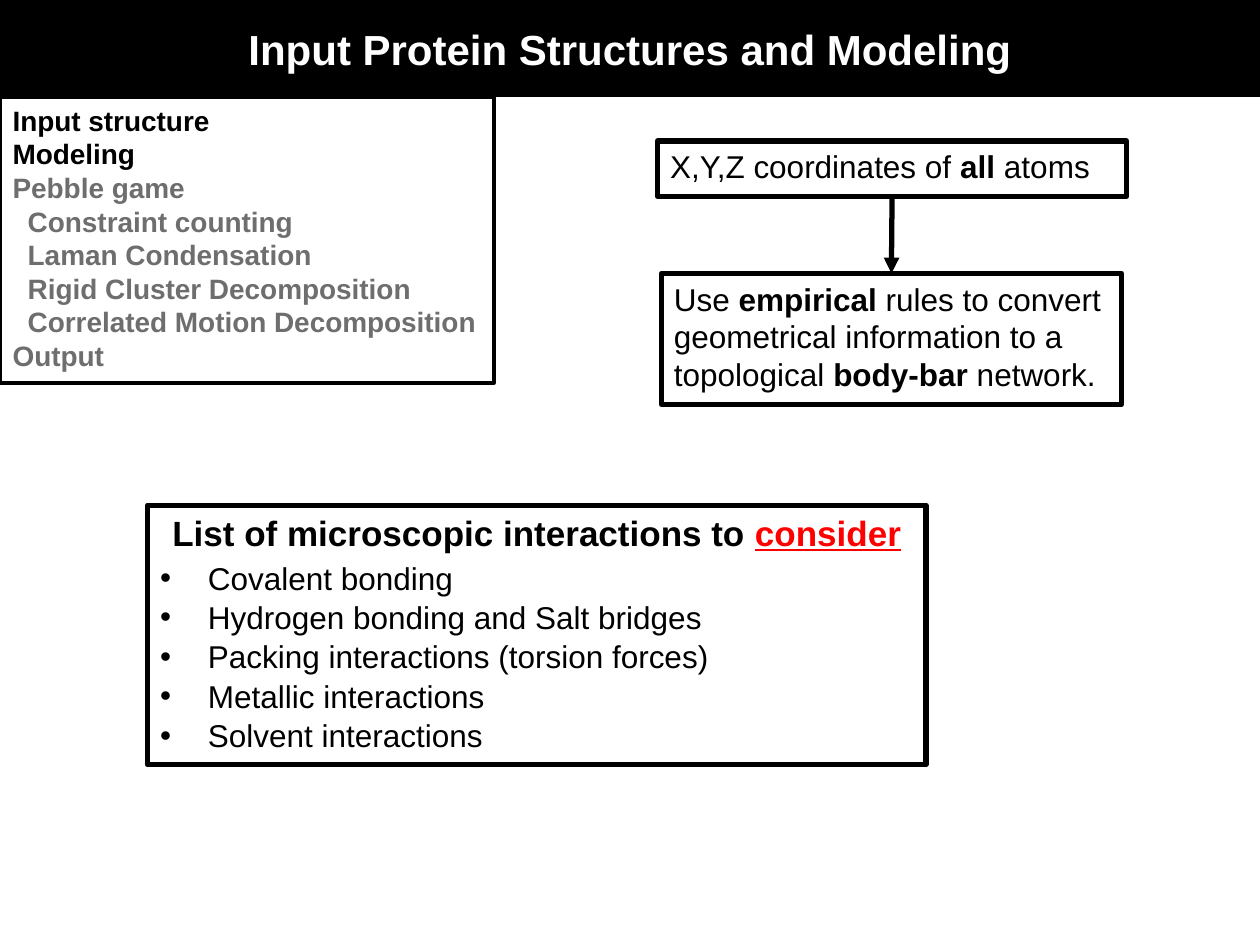
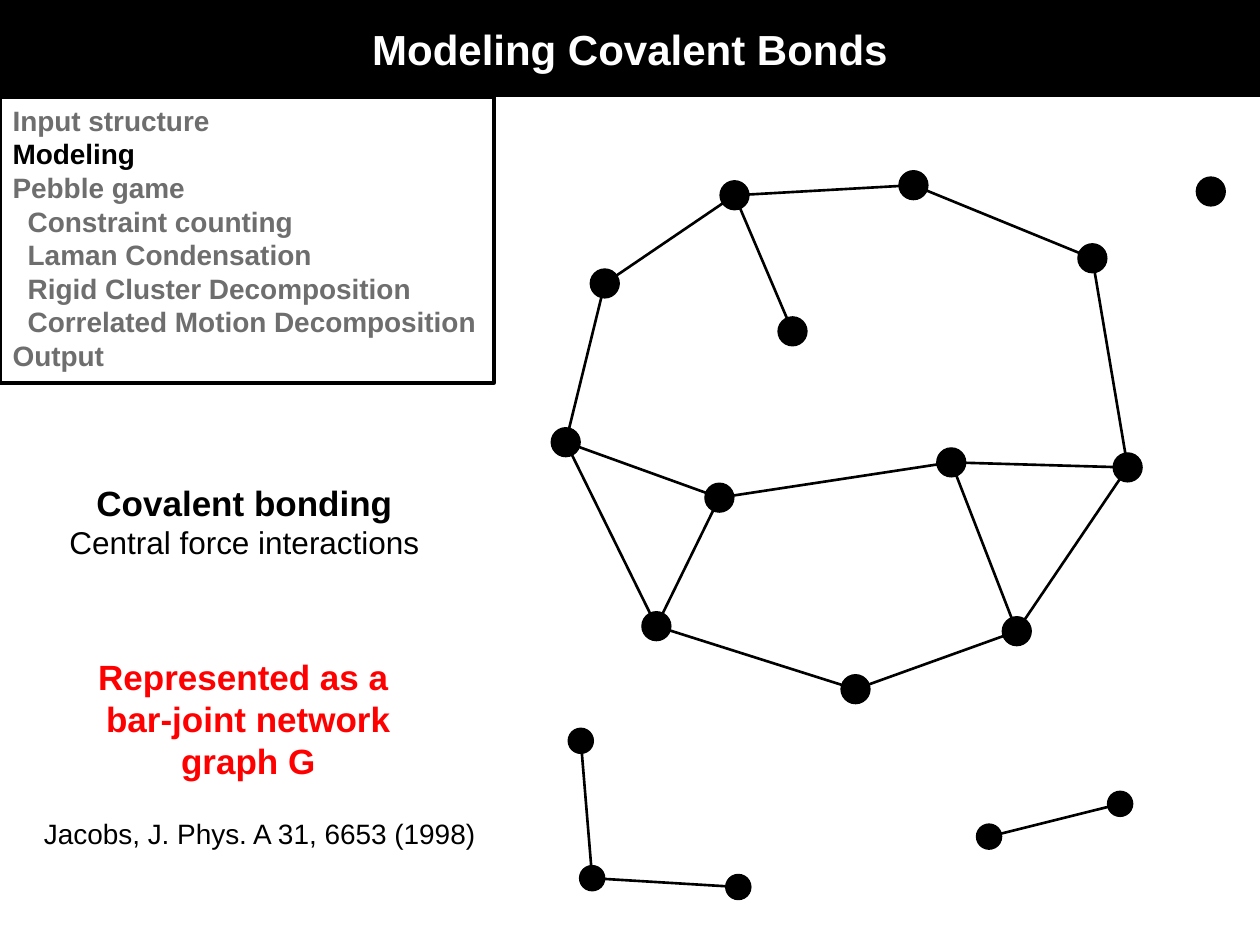
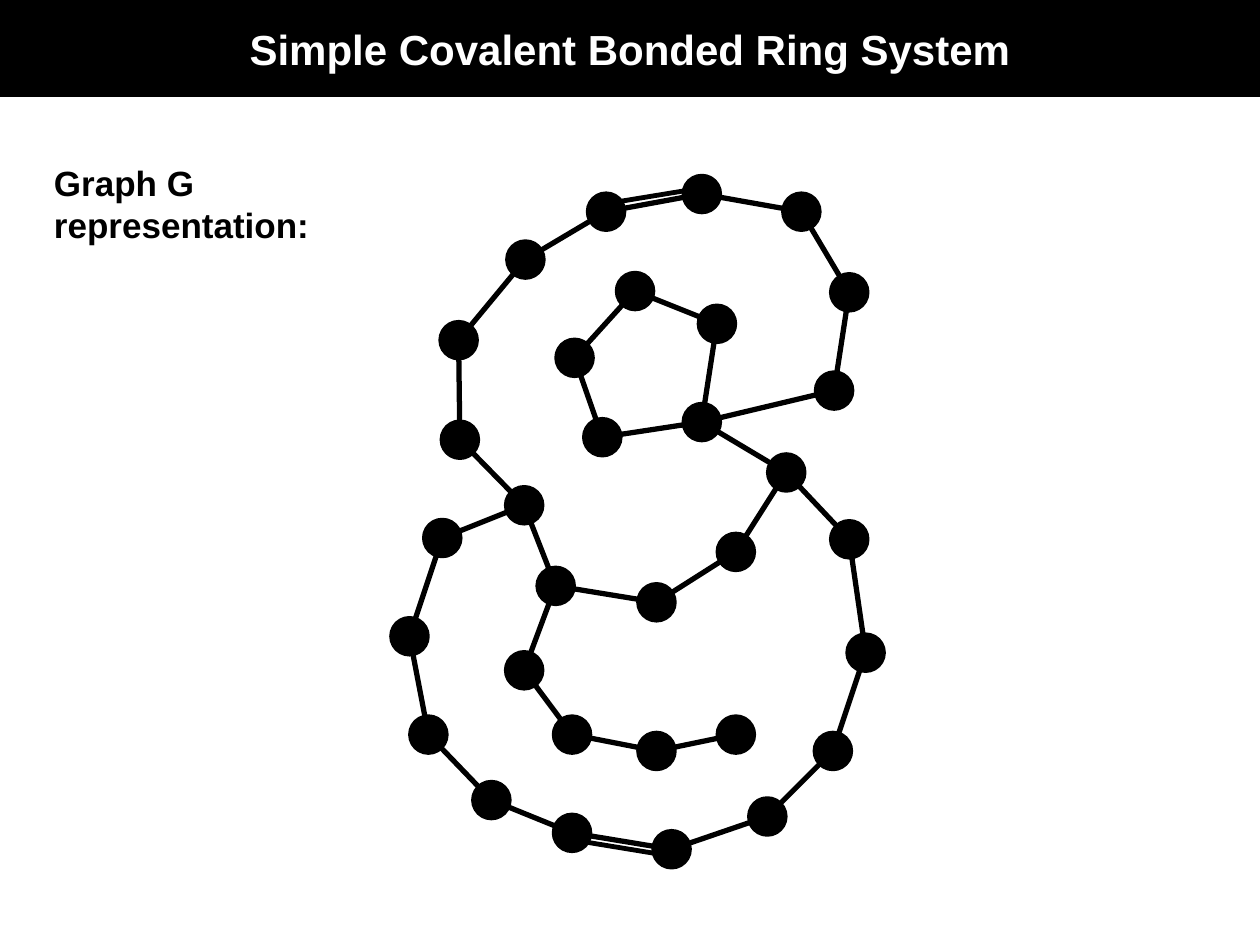
from dataclasses import dataclass
from itertools import chain

from lxml import etree
from pptx import Presentation
from pptx.dml.color import RGBColor as RGB
from pptx.enum.shapes import MSO_CONNECTOR as CONN, MSO_SHAPE as SHAPE
from pptx.enum.text import MSO_ANCHOR as ANCHOR, MSO_AUTO_SIZE as FIT, PP_ALIGN as AL
from pptx.oxml.ns import qn
from pptx.util import Inches, Pt

BLACK, GRAY = RGB(0, 0, 0), RGB(0x6E, 0x6E, 0x6E)
RED, WHITE = RGB(0xFF, 0, 0), RGB(0xFF, 0xFF, 0xFF)


@dataclass(frozen=True)
class Style:
    size: float
    color: RGB = BLACK
    bold: bool = False
    underline: bool = False


@dataclass(frozen=True)
class Theme:
    font: str = "Arial"
    ink: RGB = BLACK
    title: Style = Style(24, WHITE, True)
    step: Style = Style(16, GRAY, True)
    active_step: Style = Style(16, BLACK, True)
    heading: Style = Style(20, BLACK, True)
    alert: Style = Style(20, RED, True)
    link: Style = Style(20, RED, True, True)
    body: Style = Style(18)
    strong: Style = Style(18, BLACK, True)
    cite: Style = Style(16)


@dataclass
class Para:
    runs: list
    align: AL = AL.LEFT
    left: float = 0
    bullet: bool = False
    before: float = 0
    after: float = 0


T = Theme()
COLS, ROWS = 10, 7.5
BAND = 0.77
HANG = 0.38

prs = Presentation()
prs.slide_width, prs.slide_height = Inches(COLS), Inches(ROWS)
CELL = prs.slide_width / COLS


def grid(*cells):
    """Turn grid columns and rows into whole EMU."""
    return [round(c * CELL) for c in cells]


def write(shape, box, paras, wrap=True, border=0):
    """Move a text shape to its box, outline it and fill in its paragraphs."""
    shape.left, shape.top, shape.width, shape.height = grid(*box)
    if border:
        shape.line.color.rgb, shape.line.width = T.ink, Pt(border)
    tf = shape.text_frame
    tf.word_wrap, tf.auto_size = wrap, FIT.NONE
    for i, para in enumerate(paras):
        p = tf.add_paragraph() if i else tf.paragraphs[0]
        p.alignment = para.align
        p.space_before, p.space_after = Pt(para.before), Pt(para.after)
        pPr = p._p.get_or_add_pPr()
        left, = grid(para.left)
        pPr.set("marL", str(left))
        pPr.set("indent", str(-left if para.bullet else 0))
        if para.bullet:
            etree.SubElement(pPr, qn("a:buChar")).set("char", "•")
        else:
            etree.SubElement(pPr, qn("a:buNone"))
        for text, style in para.runs:
            r = p.add_run()
            r.text = text
            r.font.name, r.font.size = T.font, Pt(style.size)
            r.font.bold, r.font.underline = style.bold, style.underline
            r.font.color.rgb = style.color


# Slides with their title bands
slides = []
for title, layout in [("Input Protein Structures and Modeling", 3),
                      ("Modeling Covalent Bonds", 1),
                      ("Simple Covalent Bonded Ring System", 5)]:
    s = prs.slides.add_slide(prs.slide_layouts[layout])
    band = s.shapes.title
    band.fill.solid()
    band.fill.fore_color.rgb = T.ink
    write(band, (0, 0, COLS, BAND), [Para([(title, T.title)], AL.CENTER)])
    band.text_frame.vertical_anchor = ANCHOR.MIDDLE
    slides.append(s)
intro, bonds, rings = slides

# Outline of the method, with the current steps in black
steps = [("Input structure", 0), ("Modeling", 0), ("Pebble game", 0),
         ("Constraint counting", 0.12), ("Laman Condensation", 0.12),
         ("Rigid Cluster Decomposition", 0.12),
         ("Correlated Motion Decomposition", 0.12), ("Output", 0)]
for s, active in [(intro, ("Input structure", "Modeling")), (bonds, ("Modeling",))]:
    write(s.placeholders[1], (0, BAND, 3.92, 2.27),
          [Para([(step, T.active_step if step in active else T.step)], left=left)
           for step, left in steps], border=2)

# Interactions to consider
interactions = ["Covalent bonding", "Hydrogen bonding and Salt bridges",
                "Packing interactions (torsion forces)",
                "Metallic interactions", "Solvent interactions"]
write(intro.placeholders[2], (1.17, 4.01, 6.18, 2.06),
      [Para([("List of microscopic interactions to ", T.heading),
             ("consider", T.link)], AL.CENTER, after=2)]
      + [Para([(name, T.body)], left=HANG, bullet=True, before=0.9)
         for name in interactions], border=3)

# Free text boxes: slide, box, paragraphs, wrap, border
texts = [
    (intro, (5.22, 1.12, 3.72, 0.44),
     [Para([("X,Y,Z coordinates of ", T.body), ("all", T.strong),
            (" atoms", T.body)])], True, 3),
    (intro, (5.25, 2.17, 3.65, 1.04),
     [Para([("Use", T.body), (" empirical", T.strong),
            (" rules to convert geometrical information to a topological ", T.body),
            ("body-bar", T.strong), (" network.", T.body)])], True, 3),
    (bonds, (0.45, 3.77, 2.98, 0.73),
     [Para([("Covalent bonding", T.heading)], AL.CENTER),
      Para([("Central force interactions", T.body)], AL.CENTER)], False, 0),
    (bonds, (0.68, 5.15, 2.58, 1.1),
     [Para([(line, T.alert)], AL.CENTER)
      for line in ("Represented as a ", "bar-joint network", "graph G")], False, 0),
    (bonds, (0.25, 6.43, 3.66, 0.37),
     [Para([("Jacobs, J. Phys. A 31, 6653 (1998)", T.cite)])], False, 0),
    (rings, (0.33, 1.23, 3.35, 0.43),
     [Para([("Graph G representation:", T.heading)])], True, 0),
]
boxes = []
for s, box, paras, wrap, border in texts:
    tb = s.shapes.add_textbox(*grid(*box))
    write(tb, box, paras, wrap, border)
    boxes.append(tb)
coordinates, rules = boxes[:2]

# Bar-joint network: joints by name, bars between them
joint = dict(
    A=(5.83, 1.55), B=(7.25, 1.47), C=(8.67, 2.05), D=(8.95, 3.71),
    E=(8.07, 5.01), F=(6.79, 5.47), G=(5.21, 4.97), H=(4.49, 3.51),
    I=(4.8, 2.25), J=(5.71, 3.95), K=(7.55, 3.67), L=(6.29, 2.63), M=(9.61, 1.52))
small_joint = dict(n=(4.61, 5.88), o=(4.7, 6.97), p=(5.86, 7.04),
                   q=(7.85, 6.64), r=(8.89, 6.38))
joints = joint | small_joint
bars = [(joints[a], joints[b])
        for a, b in ("AB", "BC", "CD", "DE", "AL", "JG", "no", "op", "rq")]
bar_chains = [[joint[name] for name in names] for names in ("AIHGFEKD", "KJH")]

# Ring system: atoms in the order in which they are bonded
upper_ring = [
    (5.57, 1.54), (4.81, 1.68), (4.17, 2.06), (3.64, 2.7), (3.65, 3.49),
    (4.16, 4.01), (4.41, 4.65), (5.21, 4.78), (5.84, 4.38), (6.24, 3.75),
    (5.57, 3.35), (4.78, 3.47), (4.56, 2.84), (5.04, 2.31), (5.69, 2.57),
    (5.57, 3.35), (6.62, 3.1), (6.74, 2.32), (6.36, 1.68), (5.57, 1.54)]
lower_ring = [
    (4.16, 4.01), (3.51, 4.27), (3.25, 5.05), (3.4, 5.83), (3.9, 6.35),
    (4.54, 6.61), (5.33, 6.74), (6.09, 6.48), (6.61, 5.96), (6.87, 5.18),
    (6.74, 4.28), (6.24, 3.75)]
side_chain = [(4.41, 4.65), (4.16, 5.32), (4.54, 5.83), (5.21, 5.96), (5.84, 5.83)]
atom_chains = [upper_ring, lower_ring, side_chain]
atoms = dict.fromkeys(chain(*atom_chains))
double_bonds = [((4.85, 1.61), (5.52, 1.5)), ((4.63, 6.68), (5.24, 6.78))]

for s, centers, size, edge in [(bonds, joint.values(), 0.23, 0.75),
                               (bonds, small_joint.values(), 0.2, 0.75),
                               (rings, atoms, 0.28, 3)]:
    for x, y in centers:
        dot = s.shapes.add_shape(
            SHAPE.OVAL, *grid(x - size / 2, y - size / 2, size, size))
        dot.shadow.inherit = False
        dot.fill.solid()
        dot.fill.fore_color.rgb = dot.line.color.rgb = T.ink
        dot.line.width = Pt(edge)

for s, chains, weight in [(bonds, bar_chains, 1.5), (rings, atom_chains, 3)]:
    for points in chains:
        start, *rest = [grid(*point) for point in points]
        builder = s.shapes.build_freeform(*start)
        builder.add_line_segments(rest, close=points[0] == points[-1])
        path_shape = builder.convert_to_shape()
        path_shape.shadow.inherit = False
        path_shape.fill.background()
        path_shape.line.color.rgb, path_shape.line.width = T.ink, Pt(weight)

# Straight lines: the arrow, the bars and the second lines of double bonds
arrow_ends = [((7.08, 1.56), (7.08, 2.17))]
for s, lines, weight in [(intro, arrow_ends, 3), (bonds, bars, 1.5),
                         (rings, double_bonds, 2.75)]:
    for start, end in lines:
        line = s.shapes.add_connector(CONN.STRAIGHT, *grid(*start, *end))
        line.line.color.rgb, line.line.width = T.ink, Pt(weight)
        etree.SubElement(line._element.spPr, qn("a:effectLst"))
        if s is intro:
            line.begin_connect(coordinates, 2)
            line.end_connect(rules, 0)
            etree.SubElement(line.line._get_or_add_ln(),
                             qn("a:tailEnd")).set("type", "triangle")

prs.save("out.pptx")
